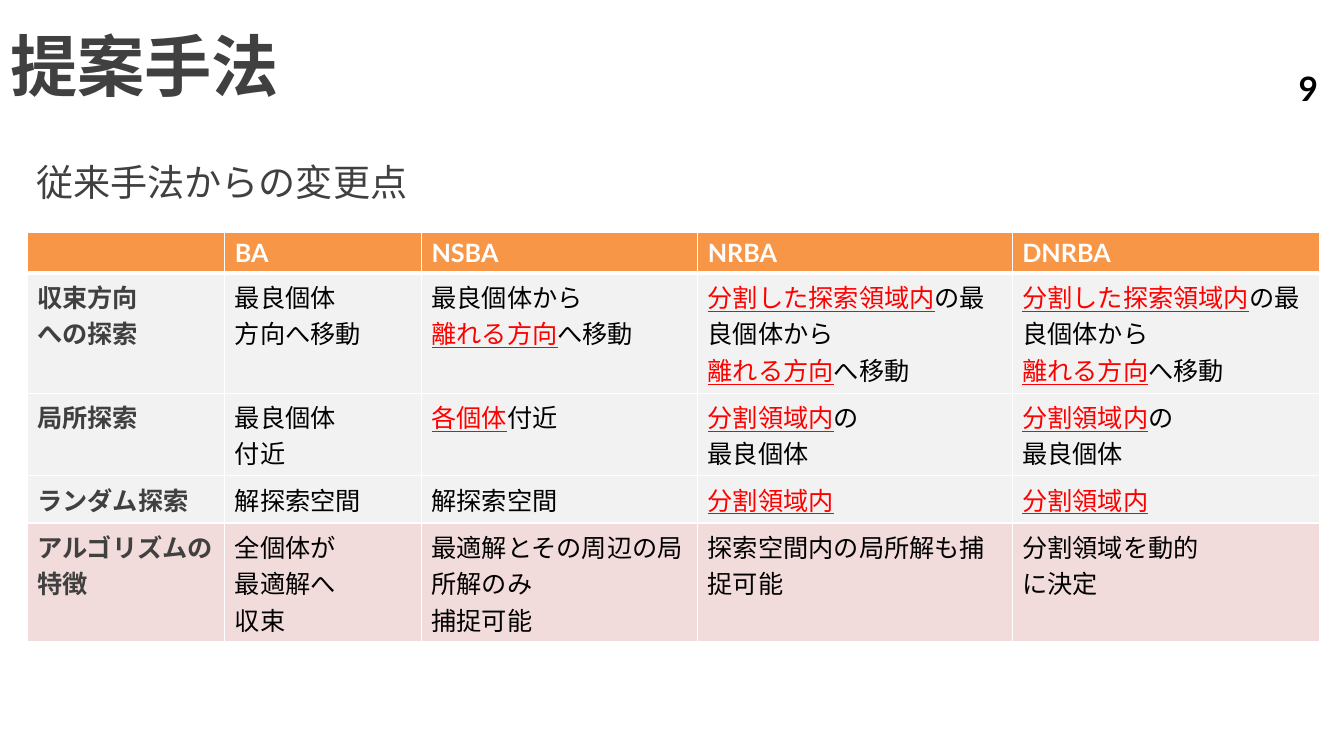
from lxml.etree import SubElement
from pptx import Presentation
from pptx.dml.color import RGBColor
from pptx.enum.text import MSO_ANCHOR, MSO_AUTO_SIZE, PP_ALIGN
from pptx.oxml.ns import qn
from pptx.util import Pt

EMU_PER_PX = 9144
COLORS = {
    "heading": "404040", "body": "000000", "changed": "FF0000", "white": "FFFFFF",
    "header": "F79646", "steps": "F2F2F2", "feature": "F2DCDB",
}
COLUMN_WIDTHS = [196, 195, 274, 312, 305]
ROW_HEIGHTS = [39, 119, 82, 47, 118]
DIVIDED_MOVE = "*分割した探索領域内*の最良個体から\n*離れる方向*へ移動"
DIVIDED_BEST = "*分割領域内*の\n最良個体"
COMPARISON = [
    ["", "BA", "NSBA", "NRBA", "DNRBA"],
    ["収束方向\nへの探索", "最良個体\n方向へ移動", "最良個体から\n*離れる方向*へ移動",
     DIVIDED_MOVE, DIVIDED_MOVE],
    ["局所探索", "最良個体\n付近", "*各個体*付近", DIVIDED_BEST, DIVIDED_BEST],
    ["ランダム探索", "解探索空間", "解探索空間", "*分割領域内*", "*分割領域内*"],
    ["アルゴリズムの特徴", "全個体が\n最適解へ\n収束", "最適解とその周辺の局所解のみ\n捕捉可能",
     "探索空間内の局所解も捕捉可能", "分割領域を動的\nに決定"],
]


def px(length):
    return length * EMU_PER_PX


def rgb(name):
    return RGBColor.from_string(COLORS[name])


def write(frame, text, size=18, font="Lato", color="body", bold=False, align=PP_ALIGN.LEFT):
    paragraph = frame.paragraphs[0]
    paragraph.alignment = align
    for part, phrase in enumerate(text.split("*")):
        changed = part % 2 == 1
        for number, line in enumerate(phrase.split("\n")):
            if number:
                paragraph.add_line_break()
            if line:
                run = paragraph.add_run()
                run.text = line
                run.font.name = font
                run.font.size = Pt(size)
                run.font.bold = bold
                run.font.underline = changed
                run.font.color.rgb = rgb("changed" if changed else color)


class SlideBuilder:
    """Adds styled elements to one title-only slide."""

    def __init__(self, deck):
        self.slide = deck.slides.add_slide(deck.slide_layouts[5])

    def place(self, shape, box):
        shape.left, shape.top, shape.width, shape.height = map(px, box)

    def title(self, text, box, **style):
        heading = self.slide.shapes.title
        self.place(heading, box)
        heading.text_frame.auto_size = MSO_AUTO_SIZE.NONE
        heading.text_frame.vertical_anchor = MSO_ANCHOR.MIDDLE
        write(heading.text_frame, text, **style)

    def label(self, text, box, anchor=MSO_ANCHOR.TOP, **style):
        frame = self.slide.shapes.add_textbox(*map(px, box)).text_frame
        frame.word_wrap = True
        frame.vertical_anchor = anchor
        write(frame, text, **style)

    def borders(self, cell, row):
        widths = {"L": 1, "R": 1, "T": 3 if row == 1 else 1, "B": 3 if row == 0 else 1}
        properties = cell._tc.get_or_add_tcPr()
        for position, (side, width) in enumerate(widths.items()):
            line = SubElement(properties, qn(f"a:ln{side}"), w=str(Pt(width)))
            fill = SubElement(line, qn("a:solidFill"))
            SubElement(fill, qn("a:srgbClr"), val=COLORS["white"])
            properties.insert(position, line)

    def table(self, rows, left, top, widths, heights):
        box = (left, top, sum(widths), sum(heights))
        grid = self.slide.shapes.add_table(len(rows), len(widths), *map(px, box)).table
        grid.horz_banding = False
        for column, width in zip(grid.columns, widths):
            column.width = px(width)
        for row, height in zip(grid.rows, heights):
            row.height = px(height)
        fills = ["header"] + ["steps"] * (len(rows) - 2) + ["feature"]
        for row, texts in enumerate(rows):
            for column, text in enumerate(texts):
                cell = grid.cell(row, column)
                cell.fill.solid()
                cell.fill.fore_color.rgb = rgb(fills[row])
                self.borders(cell, row)
                color = "white" if row == 0 else "heading" if column == 0 else "body"
                write(cell.text_frame, text, color=color, bold=color != "body")


def main():
    deck = Presentation()
    deck.slide_width, deck.slide_height = px(1333), px(750)
    builder = SlideBuilder(deck)
    builder.title("提案手法", (0, 0, 1333, 129), size=48, font="Arial",
                  color="heading", bold=True)
    builder.label("従来手法からの変更点", (26, 147, 1272, 67), anchor=MSO_ANCHOR.MIDDLE,
                  size=26.5, font="Arial", color="heading")
    builder.table(COMPARISON, 27, 231, COLUMN_WIDTHS, ROW_HEIGHTS)
    builder.label("9", (1179, 62, 138, 50), size=24, bold=True, align=PP_ALIGN.RIGHT)
    deck.save("out.pptx")


if __name__ == "__main__":
    main()
